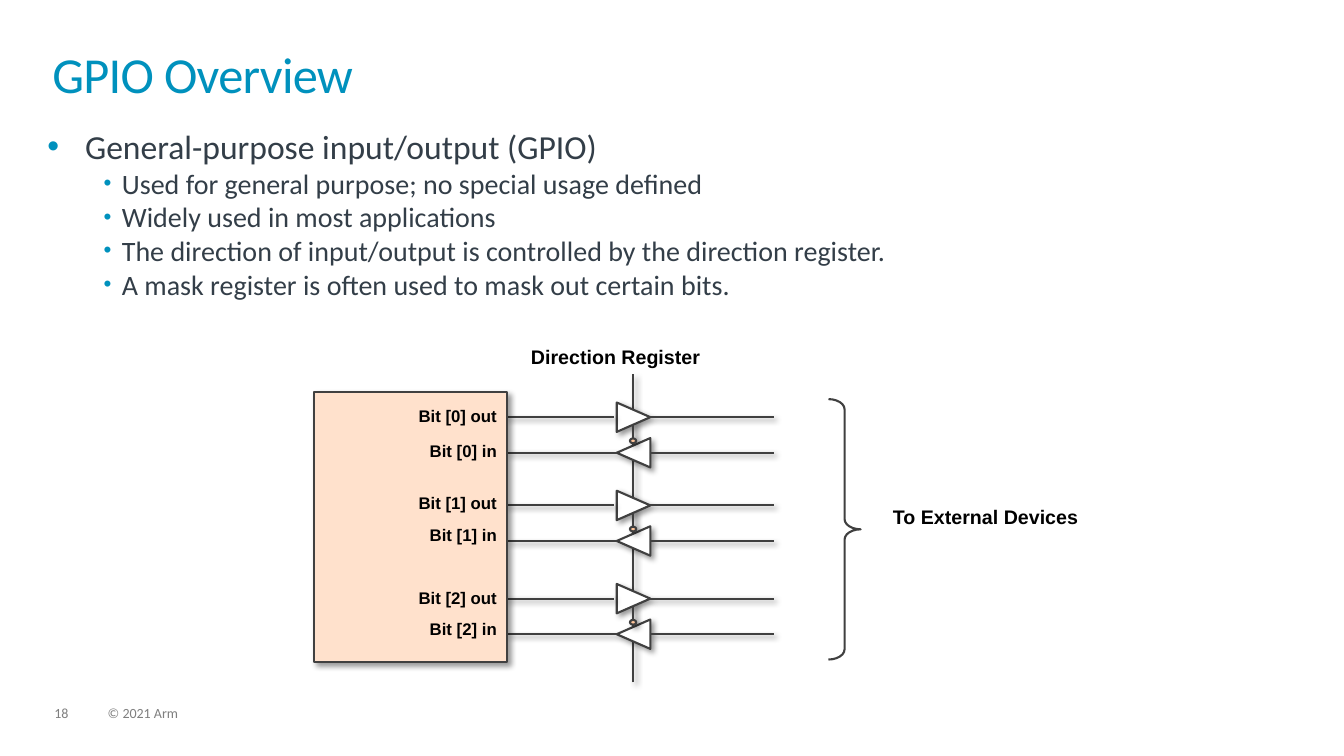
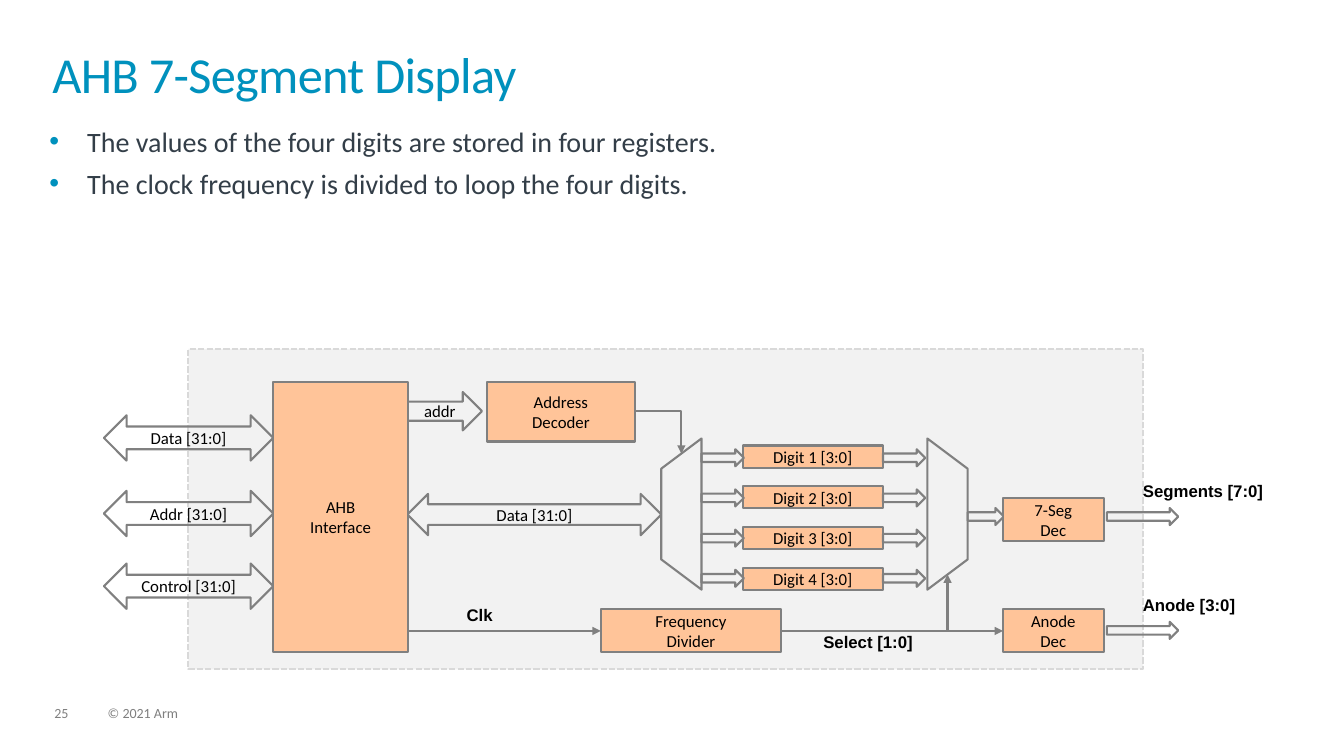
from dataclasses import dataclass
from typing import NamedTuple

from lxml.etree import SubElement
from pptx import Presentation
from pptx.dml.color import RGBColor
from pptx.enum.dml import MSO_LINE
from pptx.enum.shapes import MSO_CONNECTOR, MSO_SHAPE
from pptx.enum.text import MSO_ANCHOR, PP_ALIGN
from pptx.oxml.ns import qn
from pptx.util import Pt

TITLE_ONLY = 5
TEAL, SLATE, FOOTER_GRAY = "0091BD", "333E48", "7F7F7F"
DARK, GRAY, BLACK, WHITE = "404040", "808080", "000000", "FFFFFF"
ORANGE, PEACH, PALE, DASH_GRAY = "FFC499", "FFE1CC", "F2F2F2", "D9D9D9"

TITLE = {"name": "Calibri", "size": Pt(36), "color": TEAL}
FOOTER = {"name": "Calibri", "size": Pt(10), "color": FOOTER_GRAY}
BLOCK_TEXT = {"name": "Calibri", "size": Pt(12), "color": BLACK}
LABEL = {"name": "Arial", "size": Pt(12), "bold": True, "color": BLACK}
HEADING = LABEL | {"size": Pt(14)}


class Box(NamedTuple):
    left: float
    top: float
    width: float
    height: float

    def lengths(self) -> list:
        return [Pt(value) for value in self]


@dataclass
class Bullet:
    text: str
    size: int
    level: int = 0


@dataclass
class Block:
    kind: MSO_SHAPE
    box: Box
    text: str = ""
    fill: str = ""
    line: str = GRAY
    rotation: int = 0
    shadow: bool = False


@dataclass
class Wire:
    start: tuple[float, float]
    end: tuple[float, float]
    color: str = GRAY
    arrow: bool = False
    bent: bool = False
    shadow: bool = False


@dataclass
class BitPair:
    """One output wire with the input wire below it, and the tops of their labels."""
    wire_y: float
    out_label_top: float
    in_label_top: float


def rgb(value: str) -> RGBColor:
    return RGBColor.from_string(value)


def write(paragraph, text: str, style: dict):
    span = paragraph.add_run()
    span.text = text
    for name, value in style.items():
        if name == "color":
            span.font.color.rgb = rgb(value)
        else:
            setattr(span.font, name, value)
    return span


def set_frame(frame, inset: float | None = None) -> None:
    frame.word_wrap = True
    if inset is not None:
        for side in ("left", "top", "right", "bottom"):
            setattr(frame, f"margin_{side}", Pt(inset))


def add_text(page, box: Box, text: str, style: dict, align=PP_ALIGN.LEFT, inset=None):
    frame = page.shapes.add_textbox(*box.lengths()).text_frame
    set_frame(frame, inset)
    para = frame.paragraphs[0]
    para.alignment = align
    write(para, text, style)
    return para


def add_shadow(effects) -> None:
    outer = SubElement(effects, qn("a:outerShdw"), blurRad=str(Pt(4)), dist=str(Pt(3)),
                       dir="2700000", algn="tl", rotWithShape="0")
    color = SubElement(outer, qn("a:srgbClr"), val=BLACK)
    SubElement(color, qn("a:alpha"), val="40000")


def add_block(page, block: Block):
    shape = page.shapes.add_shape(block.kind, *block.box.lengths())
    shape.rotation = block.rotation
    shape.shadow.inherit = False
    if block.fill:
        shape.fill.solid()
        shape.fill.fore_color.rgb = rgb(block.fill)
    else:
        shape.fill.background()
    shape.line.color.rgb = rgb(block.line)
    shape.line.width = Pt(1.5)
    if block.shadow:
        add_shadow(shape.element.spPr.find(qn("a:effectLst")))
    if block.text:
        frame = shape.text_frame
        frame.word_wrap = False
        frame.vertical_anchor = MSO_ANCHOR.MIDDLE
        for index, text in enumerate(block.text.split("\n")):
            para = frame.add_paragraph() if index else frame.paragraphs[0]
            para.alignment = PP_ALIGN.CENTER
            write(para, text, BLOCK_TEXT)
    return shape


def add_wire(page, wire: Wire) -> None:
    kind = MSO_CONNECTOR.ELBOW if wire.bent else MSO_CONNECTOR.STRAIGHT
    ends = [Pt(value) for value in (*wire.start, *wire.end)]
    connector = page.shapes.add_connector(kind, *ends)
    properties = connector.element.spPr
    if wire.bent:
        properties.find(qn("a:prstGeom")).set("prst", "bentConnector2")
    connector.line.color.rgb = rgb(wire.color)
    connector.line.width = Pt(1.5)
    if wire.arrow:
        SubElement(properties.find(qn("a:ln")), qn("a:tailEnd"), type="triangle")
    effects = SubElement(properties, qn("a:effectLst"))
    if wire.shadow:
        add_shadow(effects)


def add_bullets(page, box: Box, bullets: list[Bullet]) -> None:
    frame = page.shapes.add_textbox(*box.lengths()).text_frame
    set_frame(frame, 0)
    for index, bullet in enumerate(bullets):
        para = frame.add_paragraph() if index else frame.paragraphs[0]
        para.level = bullet.level
        para.space_before = Pt(6 if index and not bullet.level else 0)
        margin, hanging, percent = ((27, 27, 100), (53.3, 13, 80))[bullet.level]
        properties = para._p.get_or_add_pPr()
        properties.set("marL", str(Pt(margin)))
        properties.set("indent", str(-Pt(hanging)))
        color = SubElement(properties, qn("a:buClr"))
        SubElement(color, qn("a:srgbClr"), val=TEAL)
        SubElement(properties, qn("a:buSzPct"), val=str(percent * 1000))
        SubElement(properties, qn("a:buFont"), typeface="Arial")
        SubElement(properties, qn("a:buChar"), char="•")
        write(para, bullet.text, {"name": "Calibri", "size": Pt(bullet.size), "color": SLATE})


def add_page(deck, title: str, number: str):
    """Add a slide with the shared title style and footer."""
    page = deck.slides.add_slide(deck.slide_layouts[TITLE_ONLY])
    holder = page.shapes.title
    place = dict(zip(("left", "top", "width", "height"), Box(37.4, 37.4, 884, 52).lengths()))
    for name, value in place.items():
        setattr(holder, name, value)
    frame = holder.text_frame
    set_frame(frame, 0)
    frame.vertical_anchor = MSO_ANCHOR.TOP
    para = frame.paragraphs[0]
    para.alignment = PP_ALIGN.LEFT
    para.line_spacing = 0.85
    span = write(para, title, TITLE)
    span.font._element.set("spc", "-50")
    for left, width, text in ((38.9, 24.5, number), (77, 365, "© 2021 Arm")):
        add_text(page, Box(left, 504.7, width, 11), text, FOOTER, inset=0).line_spacing = 0.9
    return page


def build_gpio(deck) -> None:
    page = add_page(deck, "GPIO Overview", "18")
    add_bullets(page, Box(33.8, 90, 880, 322), [
        Bullet("General-purpose input/output (GPIO)", 24),
        Bullet("Used for general purpose; no special usage defined", 20, 1),
        Bullet("Widely used in most applications", 20, 1),
        Bullet("The direction of input/output is controlled by the direction register.", 20, 1),
        Bullet("A mask register is often used to mask out certain bits.", 20, 1),
    ])
    pairs = [BitPair(298, 286.6, 311), BitPair(361, 348.5, 371.5), BitPair(427.6, 416.2, 438.5)]
    center, in_offset, label_right = 452.2, 25.4, 362
    dark = {"line": DARK, "shadow": True}

    def wire(x1: float, y1: float, x2: float, y2: float) -> None:
        add_wire(page, Wire((x1, y1), (x2, y2), DARK, shadow=True))

    wire(center, 487.4, center, 267.1)
    for pair in pairs:
        in_y = pair.wire_y + in_offset
        for y, rotation, left_start, left_end in ((pair.wire_y, 90, 361, 438.5),
                                                  (in_y, 270, 362, 440.6)):
            add_block(page, Block(MSO_SHAPE.ISOSCELES_TRIANGLE, Box(442, y - 12, 21, 24),
                                  fill=WHITE, rotation=rotation, **dark))
            wire(464.4, y, 553, y)
            wire(left_start, y, left_end, y)
        wire(center, pair.wire_y + 15, center, pair.wire_y + 5.8)
        add_block(page, Block(MSO_SHAPE.OVAL, Box(center - 2.2, pair.wire_y + 15.2, 4.4, 3.4),
                              fill=ORANGE, **dark))
    add_text(page, Box(372.2, 242.6, 181, 24.5), "Direction Register", HEADING)
    add_block(page, Block(MSO_SHAPE.RECTANGLE, Box(224.6, 280, 137.5, 193), fill=PEACH, **dark))
    for index, pair in enumerate(pairs):
        for top, direction in ((pair.out_label_top, "out"), (pair.in_label_top, "in")):
            add_text(page, Box(label_right - 110, top, 110, 21.6),
                     f"Bit [{index}] {direction}", LABEL, PP_ALIGN.RIGHT)
    add_text(page, Box(630.7, 357.1, 181, 24.5), "To External Devices", HEADING)
    brace = add_block(page, Block(MSO_SHAPE.RIGHT_BRACE, Box(591.8, 285.1, 23, 186), line=DARK))
    brace.adjustments[0] = 0.318


def build_display(deck) -> None:
    page = add_page(deck, "AHB 7-Segment Display", "25")
    add_bullets(page, Box(35.3, 88.6, 880, 322), [
        Bullet("The values of the four digits are stored in four registers.", 20),
        Bullet("The clock frequency is divided to loop the four digits.", 20),
    ])
    process, both_ways = MSO_SHAPE.FLOWCHART_PROCESS, MSO_SHAPE.LEFT_RIGHT_ARROW
    right, trapezoid = MSO_SHAPE.RIGHT_ARROW, MSO_SHAPE.FLOWCHART_MANUAL_OPERATION
    clock_y = 450.7

    outline = add_block(page, Block(MSO_SHAPE.RECTANGLE, Box(134.6, 249.1, 682, 229),
                                    fill=PALE, line=DASH_GRAY))
    outline.line.dash_style = MSO_LINE.SQUARE_DOT

    add_wire(page, Wire((286.6, clock_y), (429.1, clock_y), arrow=True))
    blocks = [
        Block(both_ways, Box(74.2, top, 121, 32.4), text)
        for top, text in ((296.6, "Data [31:0]"), (350.6, "Addr [31:0]"), (402.5, "Control [31:0]"))
    ]
    blocks += [
        Block(right, Box(291, 280, 53.3, 27.4), "addr"),
        Block(process, Box(347.8, 272.9, 105.8, 42.5), "Address\nDecoder", ORANGE),
        Block(both_ways, Box(291, 352.8, 181.4, 29.5), "Data [31:0]"),
        Block(trapezoid, Box(432.7, 352.8, 108, 28.8), fill=PALE, rotation=90),
        Block(trapezoid, Box(622.8, 352.8, 108, 28.8), fill=PALE, rotation=270),
    ]
    for index in range(4):
        blocks.append(Block(process, Box(530.6, 318.2 + 29.1 * index, 100, 15.8),
                            f"Digit {index + 1} [3:0]", ORANGE))
        blocks += [Block(right, Box(left, 320.9 + 28.7 * index, 30.2, 12.2))
                   for left in (501.1, 630.7)]
    blocks += [
        Block(process, Box(429.1, 434.9, 128.9, 31), "Frequency\nDivider", ORANGE),
        Block(process, Box(195.1, 272.9, 96.5, 193), "AHB\nInterface", ORANGE),
        Block(right, Box(691.2, 362.9, 25.9, 12.2)),
        Block(process, Box(716.4, 434.9, 72, 31), "Anode\nDec", ORANGE),
        Block(process, Box(716.4, 355.7, 72, 31), "7-Seg\nDec", ORANGE),
        Block(right, Box(790.6, 362.9, 51, 12.2)),
        Block(right, Box(790.6, 444.2, 51, 12.2)),
    ]
    for block in blocks:
        add_block(page, block)

    for wire in (
        Wire((453.6, 293.8), (486.7, 324), arrow=True, bent=True),
        Wire((558, clock_y), (676.8, 410.4), arrow=True, bent=True),
        Wire((558, clock_y), (716.4, clock_y), arrow=True),
    ):
        add_wire(page, wire)

    for left, top, text in ((326.2, 428.4, "Clk"), (581, 447.8, "Select [1:0]"),
                            (809.3, 421.2, "Anode [3:0]"), (809.3, 339.8, "Segments [7:0]")):
        add_text(page, Box(left, top, 130, 21.6), text, LABEL)


def main() -> None:
    deck = Presentation()
    deck.slide_width, deck.slide_height = Pt(960), Pt(540)
    build_gpio(deck)
    build_display(deck)
    deck.save("out.pptx")


if __name__ == "__main__":
    main()
